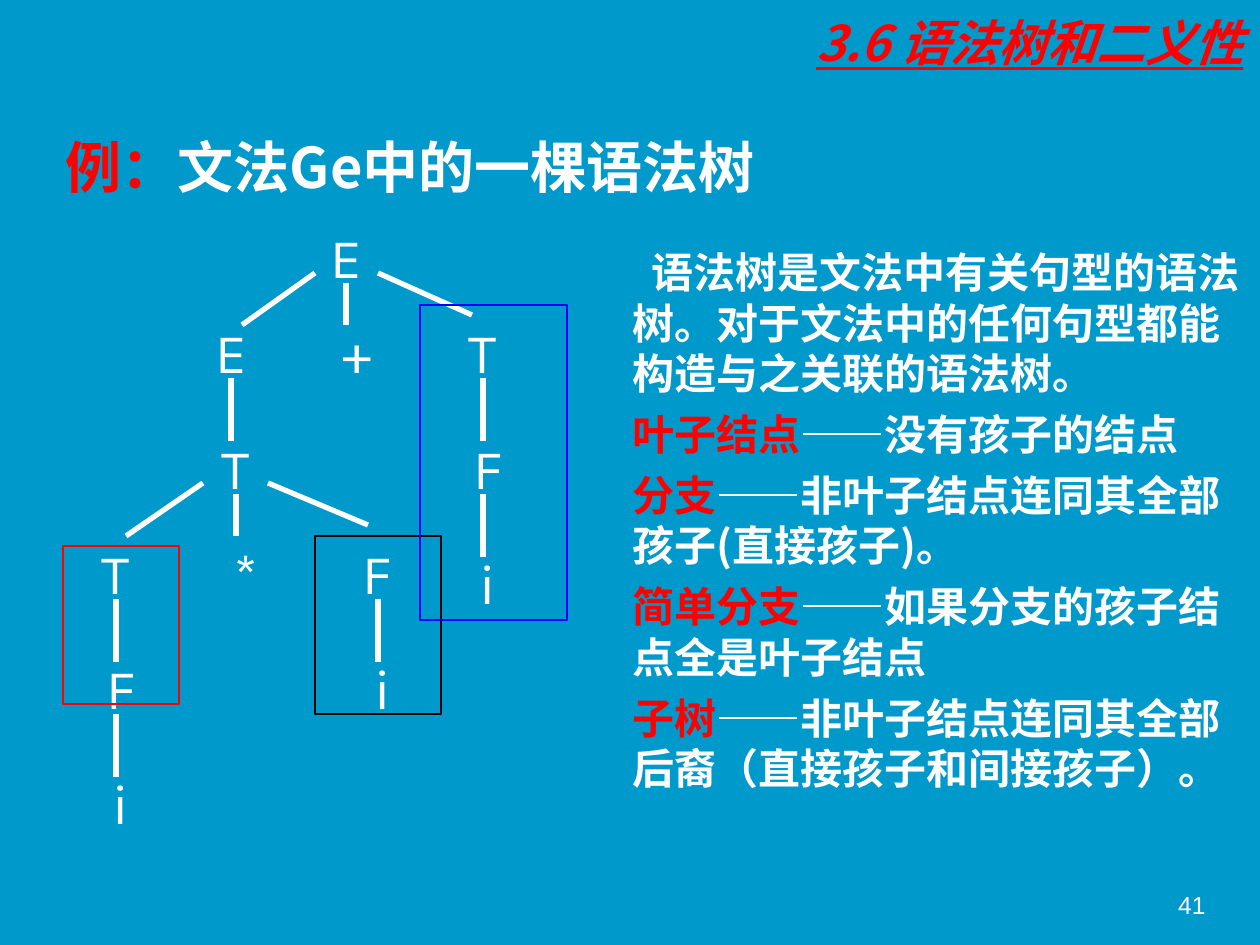
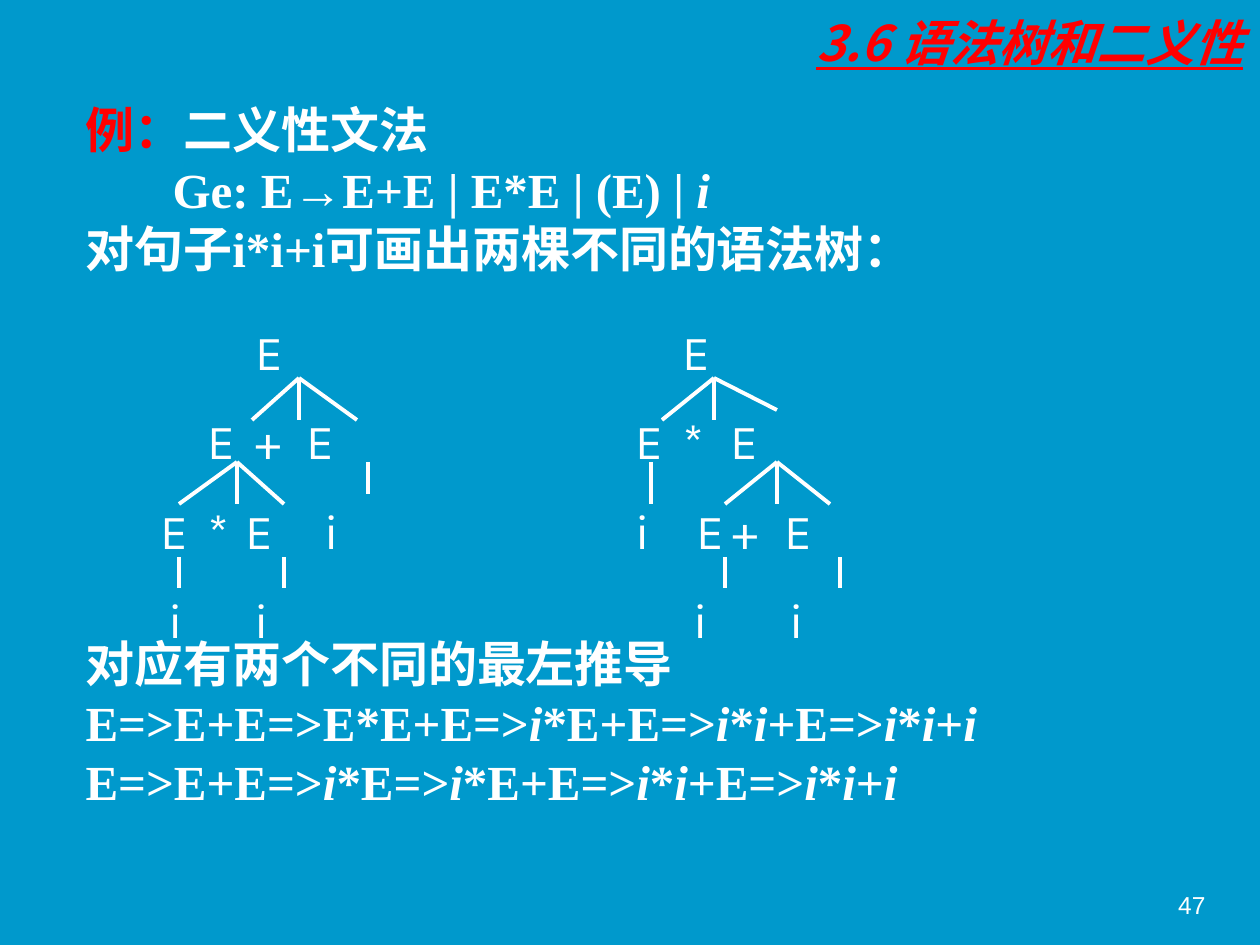
from dataclasses import dataclass
from itertools import groupby

from lxml.etree import SubElement
from pptx import Presentation
from pptx.dml.color import RGBColor as Color
from pptx.enum.shapes import MSO_CONNECTOR as Connector, MSO_SHAPE as Shape
from pptx.enum.text import MSO_ANCHOR as Anchor, MSO_AUTO_SIZE as AutoSize, PP_ALIGN as Align
from pptx.oxml.ns import qn
from pptx.util import Pt

EMU_PER_PX = 914400 / 126


@dataclass(frozen=True)
class Theme:
    background: str = "0099CC"
    ink: str = "FFFFFF"
    accent: str = "FF0000"
    cjk: str = "Noto Sans CJK SC"
    serif: str = "Times New Roman"
    tree: str = "Karla"
    number: str = "Arial"
    heading_size: int = 28
    lead_size: int = 32
    note_size: int = 24
    number_size: int = 14


THEME = Theme()

HEADING = "3.6 语法树和二义性"
HEADING_BOX = (766, 10, 490, 63)
NUMBER_BOX = (903, 861, 315, 65)

LEAD = [("例：", THEME.accent), ("文法Ge中的一棵语法树", THEME.ink)]
LEAD_BOX = (53, 126, 1071, 714)

TREE_LEVELS = [
    (220, 105, [("E", 346)]),
    (315, 84, [("E", 231), ("+", 357), ("T", 483)]),
    (431, 73, [("T", 236), ("F", 488)]),
    (536, 87, [("T", 116), ("*", 246), ("F", 377)]),
    (546, 73, [("i", 488)]),
    (651, 73, [("F", 121), ("i", 383)]),
    (766, 73, [("i", 121)]),
]
TREE_BRANCHES = [
    (315, 273, 242, 325), (472, 315, 378, 273), (346, 325, 346, 283),
    (483, 378, 483, 441), (483, 494, 483, 557), (231, 378, 231, 441),
    (203, 483, 126, 536), (368, 525, 268, 483), (236, 536, 236, 494),
    (116, 599, 116, 662), (116, 714, 116, 777), (378, 599, 378, 662),
]
SUBTREE_FRAMES = [
    ((63, 546, 116, 158), "FF0000"),
    ((315, 536, 126, 178), "000000"),
    ((420, 305, 147, 315), "0000FF"),
]

INTRO = "语法树是文法中有关句型的语法树。对于文法中的任何句型都能构造与之关联的语法树。"
DEFINITIONS = [
    ("叶子结点", "没有孩子的结点"),
    ("分支", "非叶子结点连同其全部孩子(直接孩子)。"),
    ("简单分支", "如果分支的孩子结点全是叶子结点"),
    ("子树", "非叶子结点连同其全部后裔（直接孩子和间接孩子）。"),
]
NOTES_BOX = (620, 200, 640, 640)
INTRO_INDENT = 19

EXAMPLE = [("例：", THEME.accent), ("二义性文法", THEME.ink)]
GRAMMAR = "Ge: E→E+E | E*E | (E) | i"
SENTENCE = "对句子i*i+i可画出两棵不同的语法树："
DERIVATION_LEAD = "对应有两个不同的最左推导"
DERIVATIONS = [
    "E=>E+E=>E*E+E=>i*E+E=>i*i+E=>i*i+i",
    "E=>E+E=>i*E=>i*E+E=>i*i+E=>i*i+i",
]
AMBIGUITY_BOX = (73, 105, 1071, 766)
GRAMMAR_INDENT = 87
HANGING = 48
TREES_GAP = 210

PARSE_TREES = [
    {
        "box": (136, 315, 378, 340),
        "rows": [
            [("E", 107)],
            [("E", 59), ("+", 107), ("E", 158)],
            [("E", 12), ("*", 60), ("E", 97), ("i", 176)],
            [("i", 20), ("i", 106)],
        ],
        "forks": [
            ((299, 378), [(299, 420), (252, 420), (357, 420)]),
            ((237, 462), [(237, 504), (179, 504), (284, 504)]),
            ((284, 557), [(284, 588)]),
            ((368, 462), [(368, 494)]),
            ((179, 557), [(179, 588)]),
        ],
    },
    {
        "box": (599, 315, 410, 340),
        "rows": [
            [("E", 71)],
            [("E", 24), ("*", 72), ("E", 119)],
            [("i", 24), ("E", 85), ("+", 121), ("E", 173)],
            [("i", 82), ("i", 178)],
        ],
        "forks": [
            ((714, 378), [(714, 420), (662, 420), (777, 410)]),
            ((651, 462), [(651, 504)]),
            ((777, 462), [(777, 504), (725, 504), (830, 504)]),
            ((725, 557), [(725, 588)]),
            ((840, 557), [(840, 588)]),
        ],
    },
]


def px(length):
    return round(length * EMU_PER_PX)


def rgb(colour):
    return Color.from_string(colour)


def place(shape, box):
    shape.left, shape.top, shape.width, shape.height = map(px, box)


def style(run, face, size, colour=THEME.ink, bold=False, italic=False):
    font = run.font
    font.name, font.size, font.bold, font.italic = face, Pt(size), bold, italic
    font.color.rgb = rgb(colour)
    east_asian = SubElement(run._r.get_or_add_rPr(), qn("a:ea"))
    east_asian.set("typeface", THEME.cjk)


def write(paragraph, pieces, face, size, bold=True):
    for text, colour, italic in pieces:
        run = paragraph.add_run()
        run.text = text
        style(run, face, size, colour, bold, italic)


def coloured(pieces):
    return [(text, colour, False) for text, colour in pieces]


def italic_terminals(formula):
    return [("".join(chars), THEME.ink, terminal)
            for terminal, chars in groupby(formula, lambda char: char == "i")]


def indent(paragraph, margin, first):
    properties = paragraph._p.get_or_add_pPr()
    properties.set("marL", str(px(margin)))
    properties.set("indent", str(px(first)))
    return properties


def unbullet(paragraph, margin=HANGING, first=-HANGING):
    SubElement(indent(paragraph, margin, first), qn("a:buNone"))


def paragraphs(frame, count):
    return [frame.paragraphs[0]] + [frame.add_paragraph() for _ in range(count - 1)]


def text_box(shapes, box, anchor=Anchor.TOP, wrap=True):
    frame = shapes.add_textbox(*map(px, box)).text_frame
    frame.word_wrap = wrap
    frame.vertical_anchor = anchor
    return frame


def draw_branch(shapes, ends, weight):
    branch = shapes.add_connector(Connector.STRAIGHT, *map(px, ends))
    branch.line.color.rgb = rgb(THEME.ink)
    branch.line.width = Pt(weight)
    SubElement(branch._element.spPr, qn("a:effectLst"))


def start_slide(deck, number, body_box):
    slide = deck.slides.add_slide(deck.slide_layouts[1])
    heading, body = slide.placeholders
    place(heading, HEADING_BOX)
    heading.text_frame.text = HEADING
    heading.text_frame.vertical_anchor = Anchor.MIDDLE
    title = heading.text_frame.paragraphs[0]
    title.alignment = Align.RIGHT
    style(title.runs[0], THEME.cjk, THEME.heading_size, THEME.accent, True, True)
    title.runs[0].font.underline = True
    place(body, body_box)
    for frame in (heading.text_frame, body.text_frame):
        frame.auto_size = AutoSize.NONE

    footer = text_box(slide.shapes, NUMBER_BOX, Anchor.BOTTOM)
    footer.text = number
    footer.paragraphs[0].alignment = Align.RIGHT
    style(footer.paragraphs[0].runs[0], THEME.number, THEME.number_size)
    return slide, body.text_frame


def draw_syntax_tree(slide):
    shapes = slide.shapes.add_group_shape().shapes
    for top, width, nodes in TREE_LEVELS:
        for symbol, centre in nodes:
            node = text_box(shapes, (centre - width / 2, top, width, 73), Anchor.MIDDLE, False)
            node.text = symbol
            node.paragraphs[0].alignment = Align.CENTER
            style(node.paragraphs[0].runs[0], THEME.tree, THEME.lead_size)
    for ends in TREE_BRANCHES:
        draw_branch(shapes, ends, 3)


def draw_parse_tree(slide, tree):
    shapes = slide.shapes.add_group_shape().shapes
    frame = text_box(shapes, tree["box"])
    for line, row in zip(paragraphs(frame, len(tree["rows"])), tree["rows"]):
        line.text = "".join("\t" + symbol for symbol, _ in row)
        line.space_before = Pt(17.5)
        stops = SubElement(line._p.get_or_add_pPr(), qn("a:tabLst"))
        for _, position in row:
            SubElement(stops, qn("a:tab"), pos=str(px(position)), algn="l")
        style(line.runs[0], THEME.tree, THEME.heading_size)
    for start, ends in tree["forks"]:
        for end in ends:
            draw_branch(shapes, start + end, 2.25)


def build_syntax_tree_slide(deck):
    slide, body = start_slide(deck, "41", LEAD_BOX)
    lead = body.paragraphs[0]
    lead.space_before = Pt(8)
    unbullet(lead)
    write(lead, coloured(LEAD), THEME.cjk, THEME.lead_size)
    draw_syntax_tree(slide)

    entries = [[(INTRO, THEME.ink)]]
    entries += [[(term, THEME.accent), ("——" + meaning, THEME.ink)] for term, meaning in DEFINITIONS]
    notes = text_box(slide.shapes, NOTES_BOX, Anchor.MIDDLE)
    for line, entry in zip(paragraphs(notes, len(entries)), entries):
        line.space_before = Pt(6)
        write(line, coloured(entry), THEME.cjk, THEME.note_size)
    indent(notes.paragraphs[0], 0, INTRO_INDENT)

    for box, colour in SUBTREE_FRAMES:
        outline = slide.shapes.add_shape(Shape.RECTANGLE, *map(px, box))
        outline.shadow.inherit = False
        outline.fill.background()
        outline.line.color.rgb = rgb(colour)
        outline.line.width = Pt(0.75)


def build_ambiguity_slide(deck):
    slide, body = start_slide(deck, "47", AMBIGUITY_BOX)
    entries = [coloured(EXAMPLE), italic_terminals(GRAMMAR)]
    entries += [coloured([(text, THEME.ink)]) for text in (SENTENCE, DERIVATION_LEAD)]
    entries += map(italic_terminals, DERIVATIONS)
    lines = paragraphs(body, len(entries))
    for line, entry in zip(lines, entries):
        line.line_spacing = 0.8
        line.space_before = Pt(7)
        unbullet(line)
        write(line, entry, THEME.serif, THEME.heading_size)
    indent(lines[1], GRAMMAR_INDENT, 0)
    lines[3].space_before = Pt(TREES_GAP)
    for line in lines[2:]:
        line.alignment = Align.JUSTIFY
    for tree in PARSE_TREES:
        draw_parse_tree(slide, tree)


def main():
    deck = Presentation()
    deck.slide_width, deck.slide_height = px(1260), px(945)
    backdrop = deck.slide_master.background.fill
    backdrop.solid()
    backdrop.fore_color.rgb = rgb(THEME.background)
    build_syntax_tree_slide(deck)
    build_ambiguity_slide(deck)
    deck.save("out.pptx")


if __name__ == "__main__":
    main()
